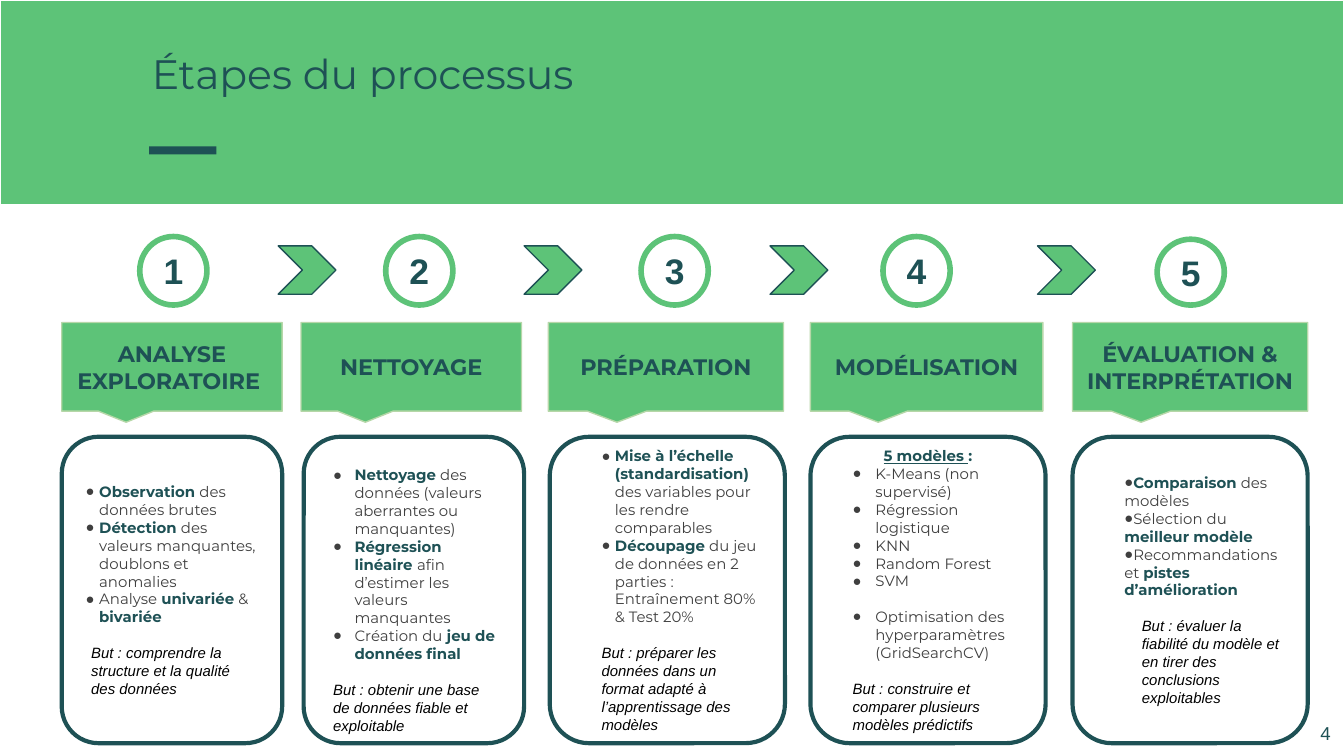
from dataclasses import dataclass

from lxml import etree
from pptx import Presentation
from pptx.dml.color import RGBColor
from pptx.enum import shapes, text
from pptx.oxml.ns import qn
from pptx.util import Inches, Pt

COLORS = {"green": "5DC378", "teal": "1E5155", "pale": "B6D7A8",
          "gray": "3F3F3F", "white": "FFFFFF", "black": "000000"}
FRAME = {"margin_left": Inches(0.1), "margin_top": Inches(0.1),
         "margin_right": Inches(0.1), "margin_bottom": Inches(0.1),
         "word_wrap": True, "auto_size": text.MSO_AUTO_SIZE.NONE,
         "vertical_anchor": text.MSO_ANCHOR.MIDDLE}
SHAPE = shapes.MSO_SHAPE
ALIGN = text.PP_ALIGN
GAP = Pt(9.6)
SLIDE_WIDTH = 10
SLIDE_HEIGHT = SLIDE_WIDTH * 9 / 16


@dataclass
class Step:
    name: str
    banner: tuple[float, float]  # left, width
    card: tuple[float, float]
    circle: tuple[float, float, float, float]  # left, top, width, height
    bullets: list[str]  # *...* marks the key words
    goal: str
    indent: tuple[float, float] = (0.1, -0.1)
    goal_indent: float = 0.04
    margins: tuple[float, float] = (0.1, 0.1)  # left, top
    heading: tuple[str, str] | None = None
    gap_before: int | None = None  # bullet that opens a new group


STEPS = [
    Step("ANALYSE EXPLORATOIRE ", (0.46, 1.64), (0.46, 1.64), (1.04, 1.76, 0.5, 0.51),
         ["*Observation* des données brutes",
          "*Détection* des valeurs manquantes, doublons et anomalies",
          "Analyse *univariée* & *bivariée*"],
         "But : comprendre la structure et la qualité des données"),
    Step("NETTOYAGE", (2.24, 1.64), (2.26, 1.64), (2.87, 1.76, 0.5, 0.51),
         ["*Nettoyage* des données (valeurs aberrantes ou manquantes)",
          "*Régression linéaire *afin d’estimer les valeurs manquantes",
          "Création du *jeu de données final*"],
         "But : obtenir une base de données fiable et exploitable",
         indent=(0.2, -0.16), margins=(0.1, 0.25)),
    Step("PRÉPARATION", (4.08, 1.75), (4.09, 1.75), (4.77, 1.76, 0.5, 0.51),
         ["*Mise à l’échelle (standardisation) *des variables pour les rendre comparables",
          "*Découpage* du jeu de données en 2 parties : Entraînement 80% & Test 20%"],
         "But : préparer les données dans un format adapté à l’apprentissage des modèles",
         goal_indent=0, margins=(0.3, 0.1)),
    Step("MODÉLISATION", (6.03, 1.73), (6.03, 1.75), (6.57, 1.76, 0.5, 0.51),
         ["K-Means (non supervisé)", "Régression logistique", "KNN", "Random Forest",
          "SVM", "Optimisation des hyperparamètres (GridSearchCV)"],
         "But : construire et comparer plusieurs modèles prédictifs",
         indent=(0.3, -0.17), goal_indent=0.13, heading=("5 modèles ", ":"), gap_before=5),
    Step("ÉVALUATION & INTERPRÉTATION", (7.98, 1.75), (7.98, 1.75), (8.61, 1.78, 0.5, 0.49),
         ["*Comparaison* des modèles", "Sélection du *meilleur modèle*",
          "Recommandations et *pistes d’amélioration*"],
         "But : évaluer la fiabilité du modèle et en tirer des conclusions exploitables",
         indent=(0, 0), goal_indent=0.13, margins=(0.3, 0.1)),
]
CHEVRON_LEFTS = [2.07, 3.9, 5.73, 7.72]


def rgb(color: str) -> RGBColor:
    return RGBColor.from_string(COLORS[color])


def set_frame(frame, **changes) -> None:
    for key, value in {**FRAME, **changes}.items():
        setattr(frame, key, value)


def add_run(paragraph, words: str, size: float, color: str,
            face: str = "Montserrat", **style) -> None:
    run = paragraph.add_run()
    run.text = words
    run.font.color.rgb = rgb(color)
    for key, value in {"size": Pt(size), "name": face, "bold": False, **style}.items():
        setattr(run.font, key, value)


def set_indent(paragraph, left: float, first: float = 0) -> None:
    properties = paragraph._p.get_or_add_pPr()
    properties.set("marL", str(Inches(left)))
    properties.set("indent", str(Inches(first)))


def add_bullet(paragraph) -> None:
    properties = paragraph._p.get_or_add_pPr()
    tint = etree.SubElement(properties, qn("a:buClr"))
    etree.SubElement(tint, qn("a:srgbClr"), val=COLORS["gray"])
    etree.SubElement(properties, qn("a:buFont"), typeface="Arial")
    etree.SubElement(properties, qn("a:buChar"), char="●")


def draw(slide, kind, left: float, top: float, width: float, height: float, fill: str,
         line: str | None = None, weight: float = 0.75, adjust: tuple = ()):
    shape = slide.shapes.add_shape(kind, Inches(left), Inches(top),
                                   Inches(width), Inches(height))
    shape.shadow.inherit = False
    shape.fill.solid()
    shape.fill.fore_color.rgb = rgb(fill)
    if line:
        shape.line.color.rgb = rgb(line)
        shape.line.width = Pt(weight)
    else:
        shape.line.fill.background()
    for index, value in enumerate(adjust):
        shape.adjustments[index] = value
    return shape


def label(shape, words: str, size: float, face: str, align=ALIGN.CENTER, bold=True) -> None:
    set_frame(shape.text_frame)
    paragraph = shape.text_frame.paragraphs[0]
    paragraph.alignment = align
    add_run(paragraph, words, size, "teal", face, bold=bold)


def draw_header(slide) -> None:
    band = draw(slide, SHAPE.RECTANGLE, 0, 0, SLIDE_WIDTH, 1.52, "green", "white")
    title = slide.shapes.title
    band._element.addnext(title._element)  # the title sits above the band
    title.left, title.top, title.width, title.height = map(Inches, (1.03, 0.26, 9.32, 0.83))
    set_frame(title.text_frame, vertical_anchor=text.MSO_ANCHOR.TOP)
    paragraph = title.text_frame.paragraphs[0]
    paragraph.alignment = ALIGN.LEFT
    add_run(paragraph, "Étapes du processus", 22, "teal")
    draw(slide, SHAPE.RECTANGLE, 1.11, 1.09, 0.5, 0.06, "teal")


def draw_card(slide, step: Step) -> None:
    left, width = step.card
    card = draw(slide, SHAPE.ROUNDED_RECTANGLE, left, 3.25, width, 2.28,
                "white", "teal", 2.25, (0.167,))
    frame = card.text_frame
    margin_left, margin_top = map(Inches, step.margins)
    set_frame(frame, margin_left=margin_left, margin_top=margin_top)
    paragraph = frame.paragraphs[0]
    if step.heading:
        paragraph.alignment = ALIGN.CENTER
        underlined, rest = step.heading
        add_run(paragraph, underlined, 8, "teal", bold=True, underline=True)
        add_run(paragraph, rest, 8, "teal", bold=True)
        paragraph = frame.add_paragraph()
    for number, bullet in enumerate(step.bullets):
        paragraph.alignment = ALIGN.LEFT
        set_indent(paragraph, *step.indent)
        if number == step.gap_before:
            paragraph.space_before = GAP
        add_bullet(paragraph)
        for position, words in enumerate(bullet.split("*")):
            key = position % 2 == 1
            if words:
                add_run(paragraph, words, 8, "teal" if key else "gray", bold=key)
        paragraph = frame.add_paragraph()
    paragraph.alignment = ALIGN.LEFT
    paragraph.space_before = GAP
    set_indent(paragraph, step.goal_indent)
    add_run(paragraph, step.goal, 8, "black", "Arial", italic=True)


def draw_step(slide, number: int, step: Step) -> None:
    left, width = step.banner
    banner = draw(slide, SHAPE.ROUNDED_RECTANGULAR_CALLOUT, left, 2.4, width, 0.66,
                  "green", "pale", adjust=(-0.208, 0.625, 0))
    label(banner, step.name, 12, "Montserrat")
    circle = draw(slide, SHAPE.OVAL, *step.circle, "white", "green", 3)
    label(circle, str(number), 19, "Arial")
    draw_card(slide, step)


def main() -> None:
    deck = Presentation()
    deck.slide_width, deck.slide_height = Inches(SLIDE_WIDTH), Inches(SLIDE_HEIGHT)
    slide = deck.slides.add_slide(deck.slide_layouts[5])
    draw_header(slide)
    for number, step in enumerate(STEPS, 1):
        draw_step(slide, number, step)
    for left in CHEVRON_LEFTS:
        draw(slide, SHAPE.CHEVRON, left, 1.83, 0.43, 0.36, "green", "teal", adjust=(0.5,))
    page = slide.shapes.add_textbox(Inches(9.4), Inches(5.24), Inches(0.6), Inches(0.43))
    label(page, "4", 10, "Arial", ALIGN.RIGHT, bold=False)
    deck.save("out.pptx")


if __name__ == "__main__":
    main()
